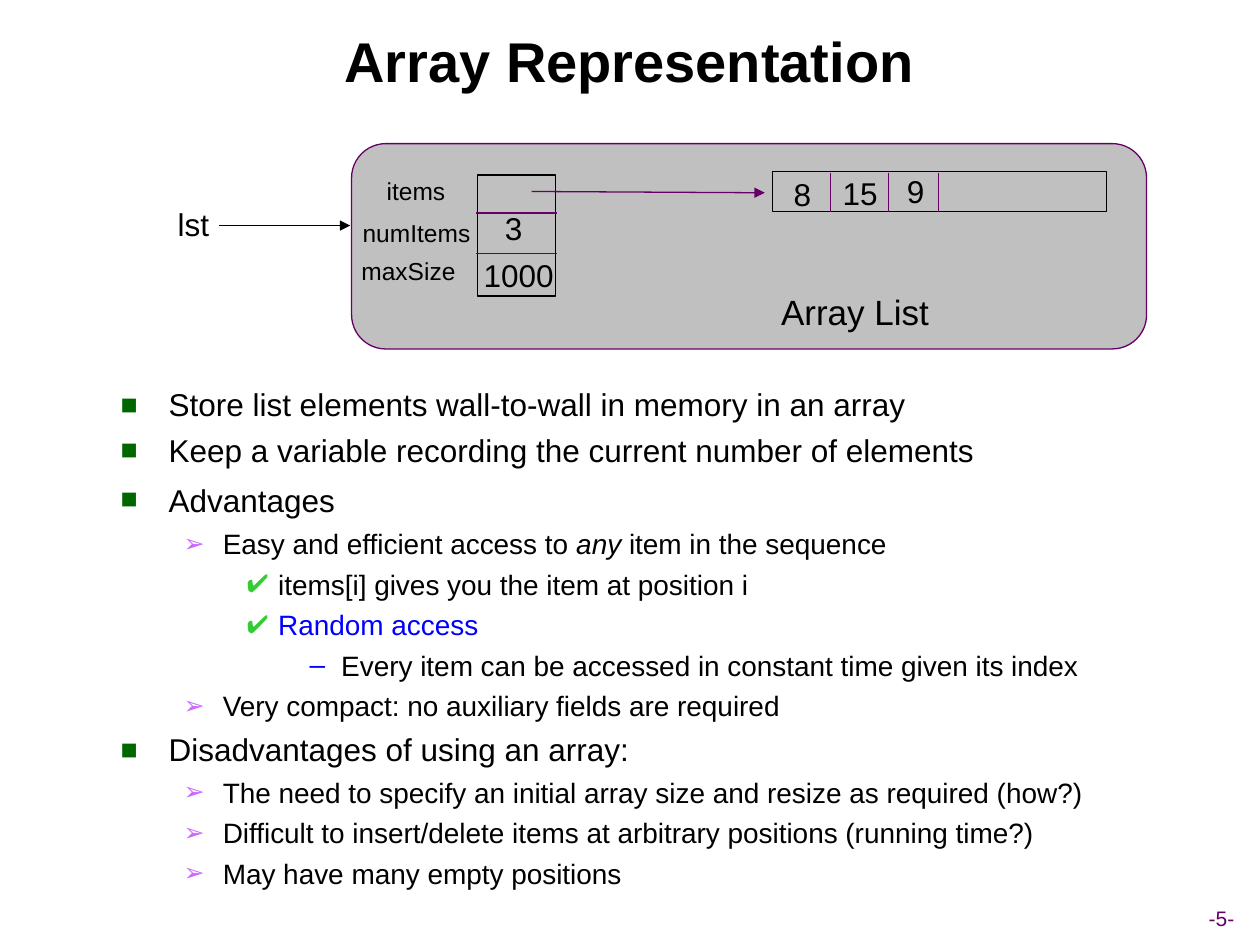
from dataclasses import dataclass
from typing import Optional

from lxml.etree import SubElement
from pptx import Presentation
from pptx.dml.color import RGBColor
from pptx.enum.shapes import MSO_CONNECTOR as Conn, MSO_SHAPE as Shape
from pptx.enum.text import MSO_ANCHOR as Anchor, MSO_AUTO_SIZE as Fit, PP_ALIGN as Align
from pptx.oxml.ns import qn
from pptx.util import Inches, Pt


@dataclass(frozen=True)
class Theme:
    font: str = "Arial"
    ink: str = "000000"
    purple: str = "660066"
    panel: str = "C0C0C0"
    blue: str = "0000FF"
    line: float = 0.74
    title: int = 32
    large: int = 20
    body: int = 18
    detail: int = 16
    label: int = 14
    footer: int = 12


T = Theme()


@dataclass(frozen=True)
class Level:
    mark: str
    color: str
    margin: float
    hang: float
    size: int
    before: float
    scale: int = 90


@dataclass(frozen=True)
class Span:
    text: str
    italic: Optional[bool] = None
    size: Optional[int] = None


@dataclass(frozen=True)
class Item:
    level: int
    spans: tuple[Span, ...]
    color: str = T.ink
    before: Optional[float] = None


@dataclass(frozen=True)
class Label:
    text: str
    left: float
    top: float
    width: float
    height: float = 0.4
    size: int = T.body
    color: str = T.ink
    align: Align = Align.LEFT


@dataclass(frozen=True)
class Line:
    x1: float
    y1: float
    x2: float
    y2: float
    color: str = T.purple
    arrow: bool = False


LEVELS = (
    Level("■", "006600", 0.38, 0.38, T.body, 4.5),
    Level("➢", "CC66FF", 0.81, 0.31, T.detail, 4),
    Level("✔", "33CC33", 1.25, 0.25, T.detail, 4),
    Level("–", T.blue, 1.75, 0.25, T.detail, 4, 100),
)

ITEMS = (
    Item(0, (Span("Store list elements wall-to-wall in memory in an array"),)),
    Item(0, (Span("Keep a variable recording the current number of elements"),)),
    Item(0, (Span("Advantages"), Span(" ", size=T.large)), before=5),
    Item(1, (Span("Easy and efficient access to "), Span("any ", italic=True),
             Span("item in the sequence"))),
    Item(2, (Span("items[i] gives you the item at position i"),)),
    Item(2, (Span("Random access"),), T.blue),
    Item(3, (Span("Every item can be accessed in constant time given its index"),)),
    Item(1, (Span("Very compact: no auxiliary fields are required"),)),
    Item(0, (Span("Disadvantages of using an array:"),)),
    Item(1, (Span("The need to specify an initial array size and resize as required (how?)"),)),
    Item(1, (Span("Difficult to insert/delete items at arbitrary positions (running time?)"),)),
    Item(1, (Span("May have many empty positions"),)),
)

LINES = (
    Line(1.74, 1.79, 2.78, 1.79, T.ink, True),
    *(Line(3.78, y, 4.42, y) for y in (1.69, 2.01)),
    Line(4.22, 1.52, 6.07, 1.53, arrow=True),
    *(Line(x, 1.37, x, 1.68) for x in (6.59, 7.05, 7.45)),
)

LABELS = (
    Label("lst", 1.31, 1.58, 0.45, align=Align.CENTER),
    Label("items", 2.97, 1.35, 0.68, 0.34, T.label),
    Label("numItems", 2.78, 1.68, 1.07, 0.34, T.label),
    Label("maxSize", 2.77, 1.98, 0.97, 0.34, T.label),
    Label("3", 3.91, 1.61, 0.36),
    Label("1000", 3.74, 1.98, 0.77),
    Label("8", 6.2, 1.34, 0.36),
    Label("15", 6.59, 1.33, 0.5),
    Label("9", 7.1, 1.32, 0.36),
    Label("Array List", 6.1, 2.26, 1.39, 0.44, T.large),
    Label("-5-", 9.16, 7.14, 1.07, 0.3, T.footer, T.purple, Align.CENTER),
)


def rgb(color: str) -> RGBColor:
    return RGBColor.from_string(color)


def style(font, size: int, color: str = T.ink) -> None:
    font.name, font.size = T.font, Pt(size)
    font.color.rgb = rgb(color)


def add_box(s, kind: Shape, box: tuple, color: str, fill: Optional[str] = None) -> None:
    sp = s.shapes.add_shape(kind, *map(Inches, box))
    sp.shadow.inherit = False
    if fill:
        sp.fill.solid()
        sp.fill.fore_color.rgb = rgb(fill)
    else:
        sp.fill.background()
    sp.line.color.rgb, sp.line.width = rgb(color), Pt(T.line)


def add_line(s, line: Line) -> None:
    ends = map(Inches, (line.x1, line.y1, line.x2, line.y2))
    cx = s.shapes.add_connector(Conn.STRAIGHT, *ends)
    cx.line.color.rgb, cx.line.width = rgb(line.color), Pt(T.line)
    if line.arrow:
        SubElement(cx.line._get_or_add_ln(), qn("a:tailEnd"), type="triangle")
    SubElement(cx._element.spPr, qn("a:effectLst"))


def add_label(s, label: Label) -> None:
    box = map(Inches, (label.left, label.top, label.width, label.height))
    tf = s.shapes.add_textbox(*box).text_frame
    tf.word_wrap, tf.auto_size = False, Fit.SHAPE_TO_FIT_TEXT
    p = tf.paragraphs[0]
    p.text, p.alignment = label.text, label.align
    style(p.font, label.size, label.color)


def add_bullet(p, level: Level) -> None:
    pr = p._p.get_or_add_pPr()
    pr.set("marL", str(Inches(level.margin)))
    pr.set("indent", str(-Inches(level.hang)))
    SubElement(SubElement(pr, qn("a:buClr")), qn("a:srgbClr"), val=level.color)
    SubElement(pr, qn("a:buSzPct"), val=str(level.scale * 1000))
    SubElement(pr, qn("a:buFont"), typeface=T.font)
    SubElement(pr, qn("a:buChar"), char=level.mark)


def add_item(p, item: Item) -> None:
    level = LEVELS[item.level]
    p.level = item.level
    add_bullet(p, level)
    p.space_before = Pt(item.before or level.before)
    style(p.font, level.size, item.color)
    for span in item.spans:
        r = p.add_run()
        r.text, r.font.italic = span.text, span.italic
        if span.size:
            r.font.size = Pt(span.size)


def add_title(s, text: str) -> None:
    sp = s.shapes.title
    sp.left, sp.top, sp.width, sp.height = map(Inches, (0.36, 0, 9.27, 0.95))
    tf = sp.text_frame
    tf.vertical_anchor = Anchor.MIDDLE
    p = tf.paragraphs[0]
    p.text, p.alignment = text, Align.CENTER
    style(p.font, T.title)
    p.font.bold = True


prs = Presentation()
prs.slide_width, prs.slide_height = Inches(10), Inches(7.5)
s = prs.slides.add_slide(prs.slide_layouts[5])
add_title(s, "Array Representation")

tf = s.shapes.add_textbox(*map(Inches, (0.86, 3.01, 8.38, 4.16))).text_frame
tf.word_wrap = True
for i, item in enumerate(ITEMS):
    add_item(tf.add_paragraph() if i else tf.paragraphs[0], item)

add_box(s, Shape.ROUNDED_RECTANGLE, (2.79, 1.14, 6.31, 1.63), T.purple, T.panel)
add_box(s, Shape.RECTANGLE, (3.79, 1.39, 0.62, 0.96), T.ink)
add_box(s, Shape.RECTANGLE, (6.13, 1.36, 2.65, 0.32), T.ink)
for line in LINES:
    add_line(s, line)
for label in LABELS:
    add_label(s, label)

prs.save("out.pptx")
